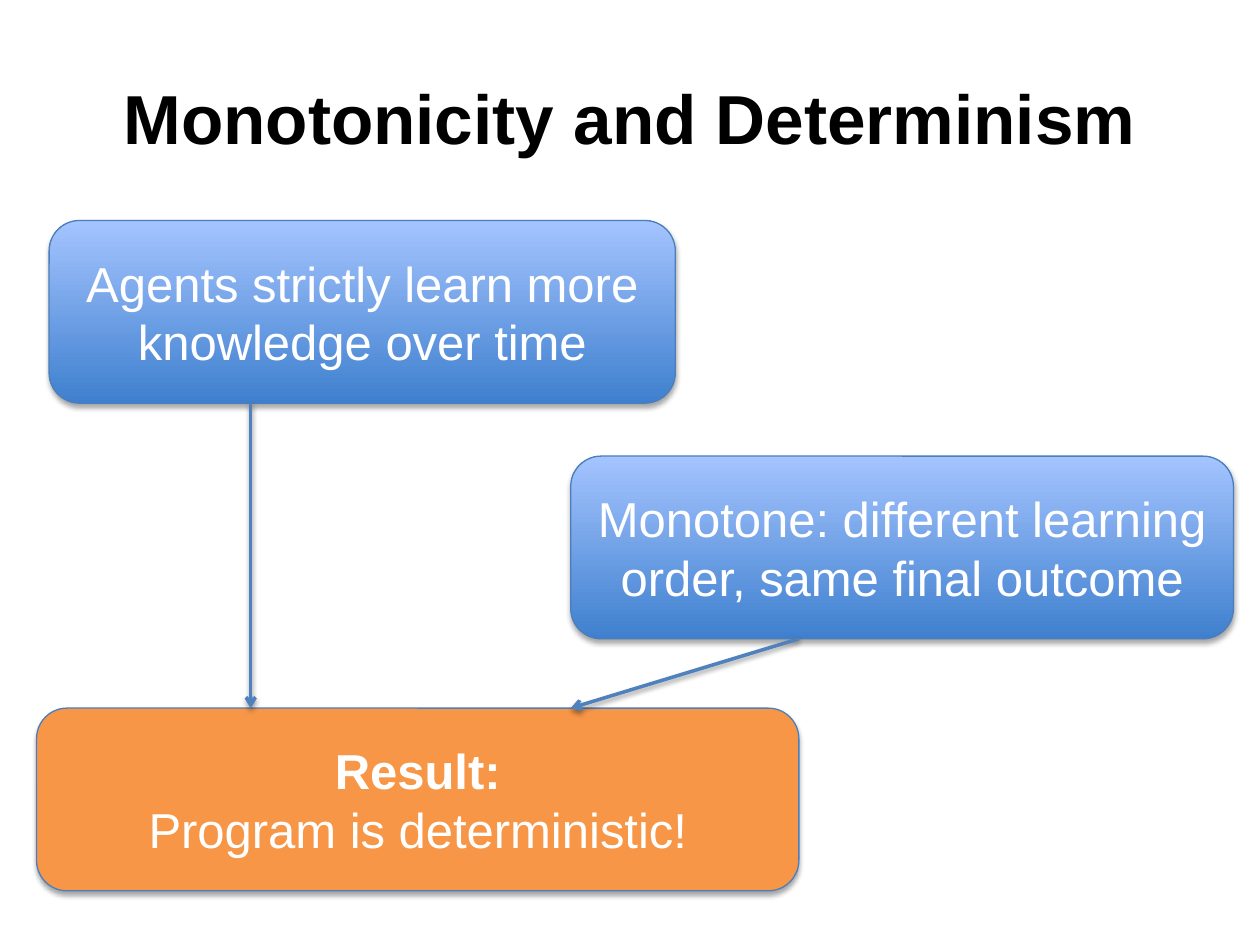
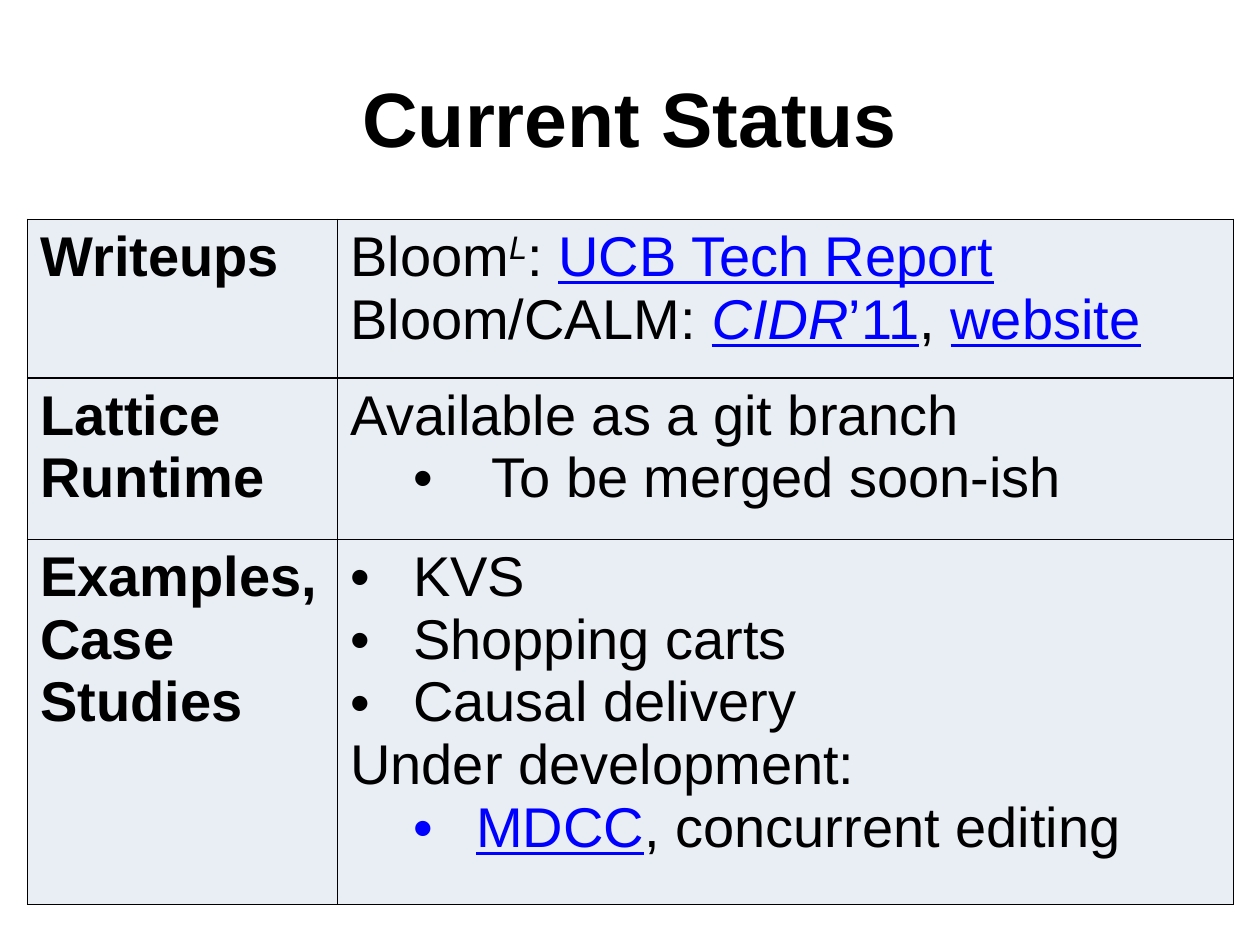
from lxml import etree
from pptx import Presentation
from pptx.dml.color import RGBColor
from pptx.enum.shapes import MSO_CONNECTOR, MSO_SHAPE
from pptx.enum.text import MSO_ANCHOR, PP_ALIGN
from pptx.oxml.ns import qn
from pptx.util import Inches, Pt

CENTER, MIDDLE = PP_ALIGN.CENTER, MSO_ANCHOR.MIDDLE
ROUNDED, STRAIGHT = MSO_SHAPE.ROUNDED_RECTANGLE, MSO_CONNECTOR.STRAIGHT

FONT = "Arial"
BLACK = RGBColor(0x00, 0x00, 0x00)
WHITE = RGBColor(0xFF, 0xFF, 0xFF)
LINK = RGBColor(0x00, 0x00, 0xFF)
BLUE_DARK = RGBColor(0x3F, 0x80, 0xCE)
BLUE_LIGHT = RGBColor(0xA4, 0xC4, 0xFF)
ORANGE = RGBColor(0xF7, 0x96, 0x46)
OUTLINE = RGBColor(0x4B, 0x7E, 0xBC)
ARROW = RGBColor(0x4F, 0x81, 0xBD)
CELL = RGBColor(0xE9, 0xED, 0xF4)

# ---- Content ----
# Rich text: a paragraph is a list of (text, marks);
# marks: b = bold, i = italic, s = superscript, l = link look
DETERMINISM_TITLE = ("Monotonicity and Determinism", 39.6)
STATUS_TITLE = ("Current Status", 44)

BOX_HEIGHT = 1.45
# name: (left, top, width, fill or None for the blue gradient, text)
BOXES = {
    "learning": (0.39, 1.75, 4.97, None,
                 [("Agents strictly learn more knowledge over time", "")]),
    "monotone": (4.53, 3.62, 5.26, None,
                 [("Monotone: different learning order, same final outcome", "")]),
    "result": (0.29, 5.62, 6.05, ORANGE,
               [("Result:", "b"), ("\v", ""), ("Program is deterministic!", "")]),
}

# Bullet styles: (level, left margin, hanging indent)
PLAIN = None
ITEM = (0, 0.5, 0.5)
SUBITEM = (1, 1.0, 0.5)
WIDE_SUBITEM = (1, 1.12, 0.62)

TABLE_LEFT, TABLE_TOP = 0.22, 1.74
COLUMN_WIDTHS = (2.46, 7.11)
# (row height, row label, [(bullet style, paragraph)])
STATUS_ROWS = [
    (1.26, "Writeups", [
        (PLAIN, [("Bloom", ""), ("L", "is"), (": ", ""),
                 ("UCB Tech Report", "l")]),
        (PLAIN, [("Bloom/CALM: ", ""), ("CIDR", "il"), ("’11", "l"),
                 (", ", ""), ("website", "l")]),
    ]),
    (1.28, "Lattice\vRuntime", [
        (PLAIN, [("Available as a git branch", "")]),
        (WIDE_SUBITEM, [("To be merged soon-ish", "")]),
    ]),
    (2.9, "Examples, Case Studies", [
        (ITEM, [("KVS", "")]),
        (ITEM, [("Shopping carts", "")]),
        (ITEM, [("Causal delivery", "")]),
        (PLAIN, [("Under development:", "")]),
        (SUBITEM, [("MDCC", "l"), (", concurrent editing", "")]),
    ]),
]


# ---- Shared helpers ----
def add_child(parent, tag, **attributes):
    child = etree.SubElement(parent, qn(tag))
    for key, value in attributes.items():
        child.set(key, str(value))
    return child


def style_font(font, size, color, bold=False):
    font.name, font.size, font.bold = FONT, Pt(size), bold
    font.color.rgb = color


def write_runs(paragraph, pieces, size, color):
    for text, marks in pieces:
        if text == "\v":
            paragraph.add_line_break()
            continue
        run = paragraph.add_run()
        run.text = text
        style_font(run.font, size, LINK if "l" in marks else color, "b" in marks)
        run.font.italic = "i" in marks
        run.font.underline = "l" in marks
        if "s" in marks:
            run._r.get_or_add_rPr().set("baseline", "30000")


def add_shadow(effects, distance, opacity):
    shadow = add_child(effects, "a:outerShdw", blurRad=Pt(3.1), dist=Pt(distance),
                       dir=90 * 60000, rotWithShape=0)
    black = add_child(shadow, "a:srgbClr", val=BLACK)
    add_child(black, "a:alpha", val=opacity * 1000)


def add_titled_slide(deck, title_text, size):
    slide = deck.slides.add_slide(deck.slide_layouts[5])
    title = slide.shapes.title
    title.left, title.top = Inches(0.5), Inches(0.3)
    title.width, title.height = Inches(9), Inches(1.25)
    title.text_frame.text = title_text
    title.text_frame.vertical_anchor = MIDDLE
    heading = title.text_frame.paragraphs[0]
    heading.alignment = CENTER
    style_font(heading.runs[0].font, size, BLACK, bold=True)
    return slide


# ---- Determinism slide ----
def add_box(slide, left, top, width, fill_color, pieces):
    box = slide.shapes.add_shape(ROUNDED, Inches(left), Inches(top),
                                 Inches(width), Inches(BOX_HEIGHT))
    if fill_color is None:
        box.fill.gradient()
        box.fill.gradient_angle = 90
        for stop, color in zip(box.fill.gradient_stops, (BLUE_DARK, BLUE_LIGHT)):
            stop.color.rgb = color
    else:
        box.fill.solid()
        box.fill.fore_color.rgb = fill_color
    box.line.color.rgb = OUTLINE
    box.line.width = Pt(0.75)
    box.shadow.inherit = False
    add_shadow(box._element.spPr.find(qn("a:effectLst")), 1.8, 35)
    box.text_frame.word_wrap = True
    box.text_frame.vertical_anchor = MIDDLE
    statement = box.text_frame.paragraphs[0]
    statement.alignment = CENTER
    write_runs(statement, pieces, 28, WHITE)


def add_arrow(slide, start, end):
    arrow = slide.shapes.add_connector(STRAIGHT, *map(Inches, start + end))
    arrow.line.color.rgb = ARROW
    arrow.line.width = Pt(2)
    properties = arrow._element.spPr
    add_child(properties.find(qn("a:ln")), "a:tailEnd", type="arrow")
    add_shadow(add_child(properties, "a:effectLst"), 1.6, 38)


def build_determinism(deck):
    slide = add_titled_slide(deck, *DETERMINISM_TITLE)
    for box in BOXES.values():
        add_box(slide, *box)
    learning, monotone, result = BOXES.values()
    result_top, result_right = result[1], result[0] + result[2]
    add_arrow(slide, (1.99, learning[1] + BOX_HEIGHT), (1.99, result_top))
    add_arrow(slide, (result_right, monotone[1] + BOX_HEIGHT),
              (monotone[0], result_top))


# ---- Status slide ----
def style_cell(cell):
    properties = cell._tc.get_or_add_tcPr()
    for side in ("a:lnL", "a:lnR", "a:lnT", "a:lnB"):
        border = add_child(properties, side, w=Pt(1))
        add_child(add_child(border, "a:solidFill"), "a:srgbClr", val=BLACK)
    cell.fill.solid()
    cell.fill.fore_color.rgb = CELL


def set_bullet(paragraph, level, margin, hanging):
    paragraph.level = level
    properties = paragraph._p.get_or_add_pPr()
    properties.set("marL", str(Inches(margin)))
    properties.set("indent", str(-Inches(hanging)))
    add_child(properties, "a:buFont", typeface=FONT)
    add_child(properties, "a:buChar", char="•")


def build_status(deck):
    slide = add_titled_slide(deck, *STATUS_TITLE)
    heights = [row[0] for row in STATUS_ROWS]
    table = slide.shapes.add_table(
        len(heights), len(COLUMN_WIDTHS), Inches(TABLE_LEFT), Inches(TABLE_TOP),
        Inches(sum(COLUMN_WIDTHS)), Inches(sum(heights))).table
    table.first_row = table.horz_banding = False
    for column, width in zip(table.columns, COLUMN_WIDTHS):
        column.width = Inches(width)
    for row, (height, label, details) in zip(table.rows, STATUS_ROWS):
        row.height = Inches(height)
        label_cell, detail_cell = row.cells
        style_cell(label_cell)
        style_cell(detail_cell)
        label_cell.text_frame.text = label
        for run in label_cell.text_frame.paragraphs[0].runs:
            style_font(run.font, 32, BLACK, bold=True)
        for index, (bullet, pieces) in enumerate(details):
            frame = detail_cell.text_frame
            paragraph = frame.add_paragraph() if index else frame.paragraphs[0]
            if bullet:
                set_bullet(paragraph, *bullet)
            write_runs(paragraph, pieces, 32, BLACK)


def main():
    deck = Presentation()
    deck.slide_width, deck.slide_height = Inches(10), Inches(7.5)
    build_determinism(deck)
    build_status(deck)
    deck.save("out.pptx")


if __name__ == "__main__":
    main()
